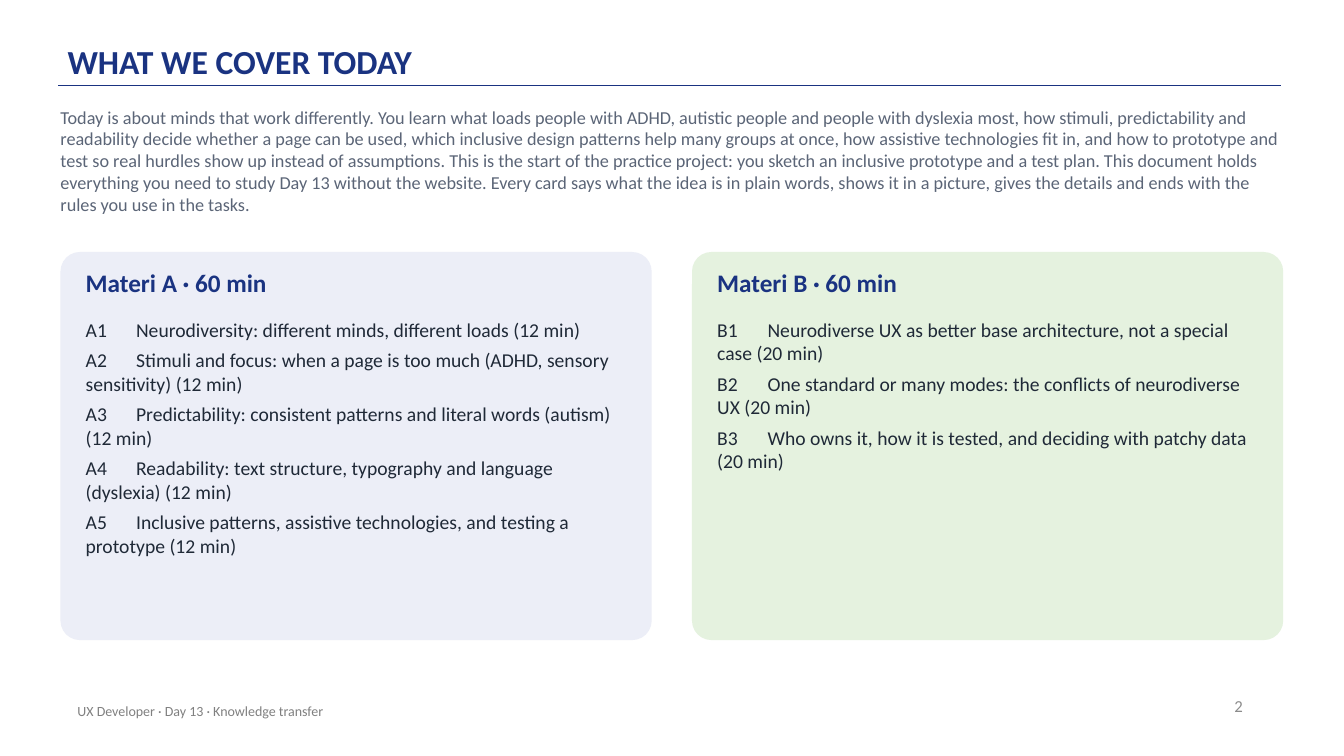
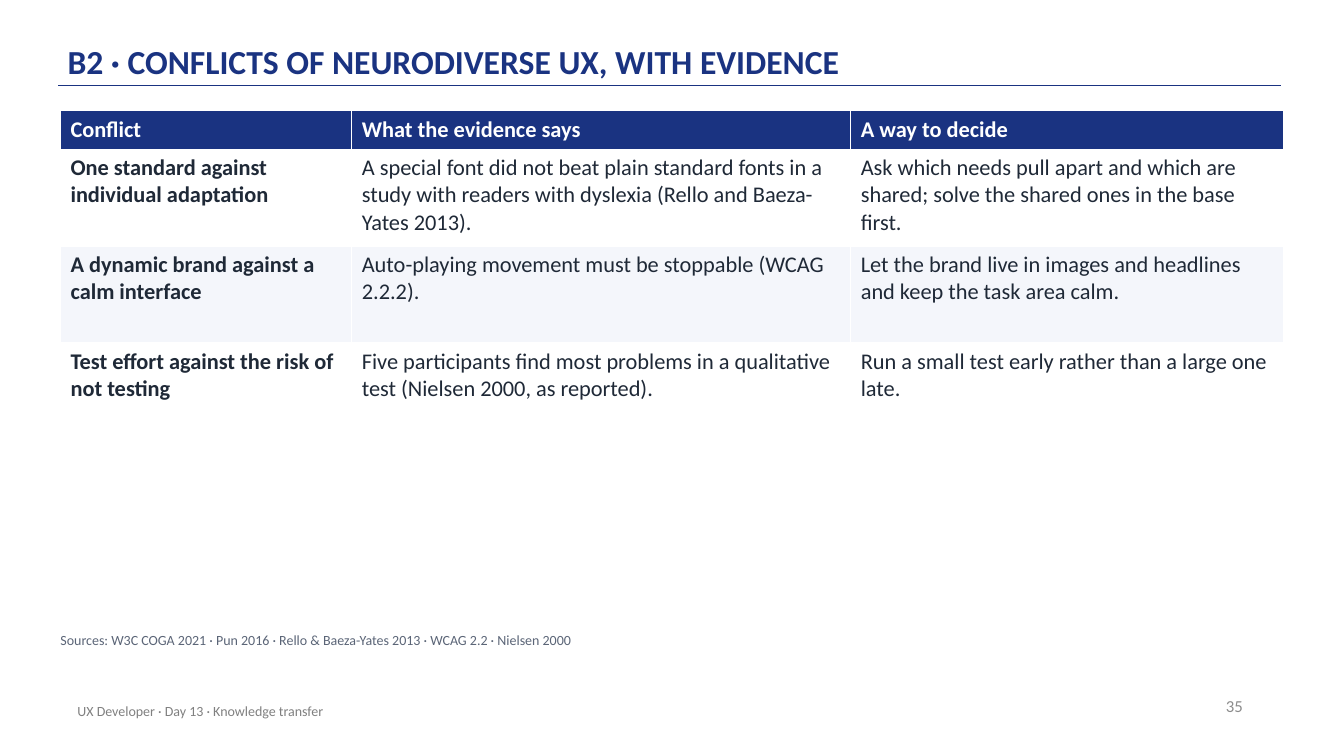
from dataclasses import dataclass, field
from typing import Any, NamedTuple

from lxml.etree import SubElement
from pptx import Presentation
from pptx.dml.color import RGBColor
from pptx.enum.shapes import MSO_CONNECTOR, MSO_SHAPE
from pptx.enum.text import MSO_ANCHOR, MSO_AUTO_SIZE, PP_ALIGN
from pptx.oxml.ns import qn
from pptx.util import Inches, Length, Pt

NAVY = RGBColor(0x1A, 0x33, 0x81)
INK = RGBColor(0x1F, 0x29, 0x37)
SLATE = RGBColor(0x5B, 0x65, 0x77)
GRAY = RGBColor(0x80, 0x80, 0x80)
LIGHT_GRAY = RGBColor(0x8C, 0x8C, 0x8C)
WHITE = RGBColor(0xFF, 0xFF, 0xFF)
STRIPE = RGBColor(0xF4, 0xF6, 0xFB)
LAVENDER = RGBColor(0xEC, 0xEE, 0xF7)
MINT = RGBColor(0xE5, 0xF2, 0xDF)

# The grid has ten columns and ten rows to the inch.
PAGE_COLUMNS, PAGE_ROWS = 133.33, 75
LEFT, CONTENT_COLUMNS = 6, 121.3
TEXT_COLUMNS = 121
CARD_GAP, CARD_PAD = 4, 2.5
CARD_COLUMNS = (CONTENT_COLUMNS - CARD_GAP) / 2
CARD_TOP, CARD_ROWS = 25, 38.5
TABLE_COLUMNS = (28.9, 49.5, 42.9)
TABLE_ROWS = (3.8, 9.6, 9.6, 9.6)
COMPARISON_LAYOUT, TITLE_ONLY_LAYOUT = 4, 5

FOOTER = "UX Developer · Day 13 · Knowledge transfer"
INTRO = (
    "Today is about minds that work differently. You learn what loads people with ADHD, "
    "autistic people and people with dyslexia most, how stimuli, predictability and "
    "readability decide whether a page can be used, which inclusive design patterns help "
    "many groups at once, how assistive technologies fit in, and how to prototype and test "
    "so real hurdles show up instead of assumptions. This is the start of the practice "
    "project: you sketch an inclusive prototype and a test plan. This document holds "
    "everything you need to study Day 13 without the website. Every card says what the idea "
    "is in plain words, shows it in a picture, gives the details and ends with the rules "
    "you use in the tasks."
)
SOURCES = "Sources: W3C COGA 2021 · Pun 2016 · Rello & Baeza-Yates 2013 · WCAG 2.2 · Nielsen 2000"
CONFLICTS = (
    ("Conflict", "What the evidence says", "A way to decide"),
    (
        "One standard against individual adaptation",
        "A special font did not beat plain standard fonts in a study with readers with "
        "dyslexia (Rello and Baeza-Yates 2013).",
        "Ask which needs pull apart and which are shared; solve the shared ones in the base first.",
    ),
    (
        "A dynamic brand against a calm interface",
        "Auto-playing movement must be stoppable (WCAG 2.2.2).",
        "Let the brand live in images and headlines and keep the task area calm.",
    ),
    (
        "Test effort against the risk of not testing",
        "Five participants find most problems in a qualitative test (Nielsen 2000, as reported).",
        "Run a small test early rather than a large one late.",
    ),
)


class Box(NamedTuple):
    left: float
    top: float
    columns: float
    rows: float


class Card(NamedTuple):
    letter: str
    minutes: int
    fill: RGBColor
    topics: tuple[str, ...]


@dataclass(frozen=True)
class Style:
    size: int
    color: RGBColor
    bold: bool = False
    para: dict[str, Any] = field(default_factory=dict)


FLUSH = {"margin_left": 0, "margin_top": 0, "margin_right": 0, "margin_bottom": 0}
TITLE_FRAME = FLUSH | {
    "margin_top": Inches(0.03),
    "margin_bottom": Inches(0.03),
    "vertical_anchor": MSO_ANCHOR.BOTTOM,
}
FOOTER_FRAME = {"vertical_anchor": MSO_ANCHOR.MIDDLE}
CARD_FRAME = FLUSH | {"vertical_anchor": MSO_ANCHOR.TOP}

TITLE = Style(24, NAVY, True, {"line_spacing": 0.9, "alignment": PP_ALIGN.LEFT})
NUMBER = Style(12, LIGHT_GRAY, para={"alignment": PP_ALIGN.RIGHT})
FOOTER_TEXT = Style(10, GRAY)
INTRO_TEXT = Style(13, SLATE)
SOURCE_TEXT = Style(10, SLATE)
CARD_HEADING = Style(18, NAVY, True, {"space_before": Pt(0)})
CARD_LIST = Style(14, INK, para={"space_before": Pt(0), "space_after": Pt(5)})
TABLE_HEAD = Style(16, WHITE, True)
TABLE_LABEL = Style(16, INK, True)
TABLE_TEXT = Style(16, INK)

CARDS = (
    Card("A", 12, LAVENDER, (
        "Neurodiversity: different minds, different loads",
        "Stimuli and focus: when a page is too much (ADHD, sensory sensitivity)",
        "Predictability: consistent patterns and literal words (autism)",
        "Readability: text structure, typography and language (dyslexia)",
        "Inclusive patterns, assistive technologies, and testing a prototype",
    )),
    Card("B", 20, MINT, (
        "Neurodiverse UX as better base architecture, not a special case",
        "One standard or many modes: the conflicts of neurodiverse UX",
        "Who owns it, how it is tested, and deciding with patchy data",
    )),
)


def grid(cells: float) -> Length:
    return Inches(cells / 10)


def apply(target: Any, values: dict[str, Any]) -> None:
    for name, value in values.items():
        setattr(target, name, value)


def write(frame: Any, lines: list[str], style: Style) -> None:
    for index, line in enumerate(lines):
        para = frame.add_paragraph() if index else frame.paragraphs[0]
        apply(para, style.para)
        span = para.add_run()
        span.text = line
        apply(span.font, {"name": "Calibri", "size": Pt(style.size), "bold": style.bold})
        span.font.color.rgb = style.color


def place(shape: Any, box: Box) -> None:
    names = ("left", "top", "width", "height")
    apply(shape, {name: grid(cells) for name, cells in zip(names, box)})


def fill_frame(shape: Any, box: Box, lines: list[str], style: Style, frame: dict[str, Any]) -> None:
    place(shape, box)
    apply(shape.text_frame, {"word_wrap": True, "auto_size": MSO_AUTO_SIZE.NONE} | frame)
    write(shape.text_frame, lines, style)


def add_text(page: Any, box: Box, text: str, style: Style, frame: dict[str, Any]) -> None:
    fill_frame(page.shapes.add_textbox(0, 0, 0, 0), box, [text], style, frame)


def set_topic_tabs(frame: Any) -> None:
    """Replace the bullets by a tab stop after each topic code."""
    for para in frame.paragraphs:
        properties = para._p.get_or_add_pPr()
        properties.set("marL", "0")
        properties.set("indent", "0")
        SubElement(properties, qn("a:buNone"))
        tabs = SubElement(properties, qn("a:tabLst"))
        SubElement(tabs, qn("a:tab"), pos=str(grid(3)), algn="l")


def add_page(deck: Any, layout: int, title: str, number: int) -> Any:
    page = deck.slides.add_slide(deck.slide_layouts[layout])
    rule = page.shapes.add_connector(
        MSO_CONNECTOR.STRAIGHT, grid(5.8), grid(8.5), grid(127.1), grid(8.5)
    )
    rule.line.color.rgb = NAVY
    rule.line.width = Pt(1)
    SubElement(rule._element.spPr, qn("a:effectLst"))
    fill_frame(page.shapes.title, Box(6.7, 1.2, 110, 7.2), [title], TITLE, TITLE_FRAME)
    add_text(page, Box(94.3, 68, 30, 4), str(number), NUMBER, FOOTER_FRAME)
    add_text(page, Box(6.7, 68.5, 67, 4), FOOTER, FOOTER_TEXT, FOOTER_FRAME)
    return page


def add_card(page: Any, index: int, card: Card) -> None:
    left = LEFT + index * (CARD_COLUMNS + CARD_GAP)
    heading = page.placeholders[1 + 2 * index]
    topics = page.placeholders[2 + 2 * index]

    panel = page.shapes.add_shape(MSO_SHAPE.ROUNDED_RECTANGLE, 0, 0, 0, 0)
    place(panel, Box(left, CARD_TOP, CARD_COLUMNS, CARD_ROWS))
    panel.adjustments[0] = 0.05
    panel.shadow.inherit = False
    panel.fill.solid()
    panel.fill.fore_color.rgb = card.fill
    panel.line.fill.background()
    heading.element.addprevious(panel.element)

    inner_left, inner_columns = left + CARD_PAD, CARD_COLUMNS - 2 * CARD_PAD
    heading_box = Box(inner_left, CARD_TOP + 1.5, inner_columns, 4)
    topics_box = Box(inner_left, CARD_TOP + 6.5, inner_columns, 31)
    lines = [
        f"{card.letter}{number}\t{topic} ({card.minutes} min)"
        for number, topic in enumerate(card.topics, 1)
    ]
    fill_frame(heading, heading_box, [f"Materi {card.letter} · 60 min"], CARD_HEADING, CARD_FRAME)
    fill_frame(topics, topics_box, lines, CARD_LIST, CARD_FRAME)
    set_topic_tabs(topics.text_frame)


def add_conflict_table(page: Any) -> None:
    table = page.shapes.add_table(
        len(TABLE_ROWS), len(TABLE_COLUMNS),
        grid(LEFT), grid(11), grid(CONTENT_COLUMNS), grid(sum(TABLE_ROWS)),
    ).table
    for column, cells in zip(table.columns, TABLE_COLUMNS):
        column.width = grid(cells)
    for row, cells in zip(table.rows, TABLE_ROWS):
        row.height = grid(cells)
    for row_index, texts in enumerate(CONFLICTS):
        for column_index, text in enumerate(texts):
            cell = table.cell(row_index, column_index)
            if row_index == 0:
                style, fill = TABLE_HEAD, NAVY
            else:
                style = TABLE_TEXT if column_index else TABLE_LABEL
                fill = WHITE if row_index % 2 else STRIPE
            cell.fill.solid()
            cell.fill.fore_color.rgb = fill
            write(cell.text_frame, [text], style)


def main() -> None:
    deck = Presentation()
    deck.slide_width, deck.slide_height = grid(PAGE_COLUMNS), grid(PAGE_ROWS)

    overview = add_page(deck, COMPARISON_LAYOUT, "WHAT WE COVER TODAY", 2)
    add_text(overview, Box(LEFT, 10.5, TEXT_COLUMNS, 12), INTRO, INTRO_TEXT, FLUSH)
    for index, card in enumerate(CARDS):
        add_card(overview, index, card)

    conflicts = add_page(
        deck, TITLE_ONLY_LAYOUT, "B2 · CONFLICTS OF NEURODIVERSE UX, WITH EVIDENCE", 35
    )
    add_conflict_table(conflicts)
    add_text(conflicts, Box(LEFT, 62.7, TEXT_COLUMNS, 3), SOURCES, SOURCE_TEXT, FLUSH)

    deck.save("out.pptx")


if __name__ == "__main__":
    main()
